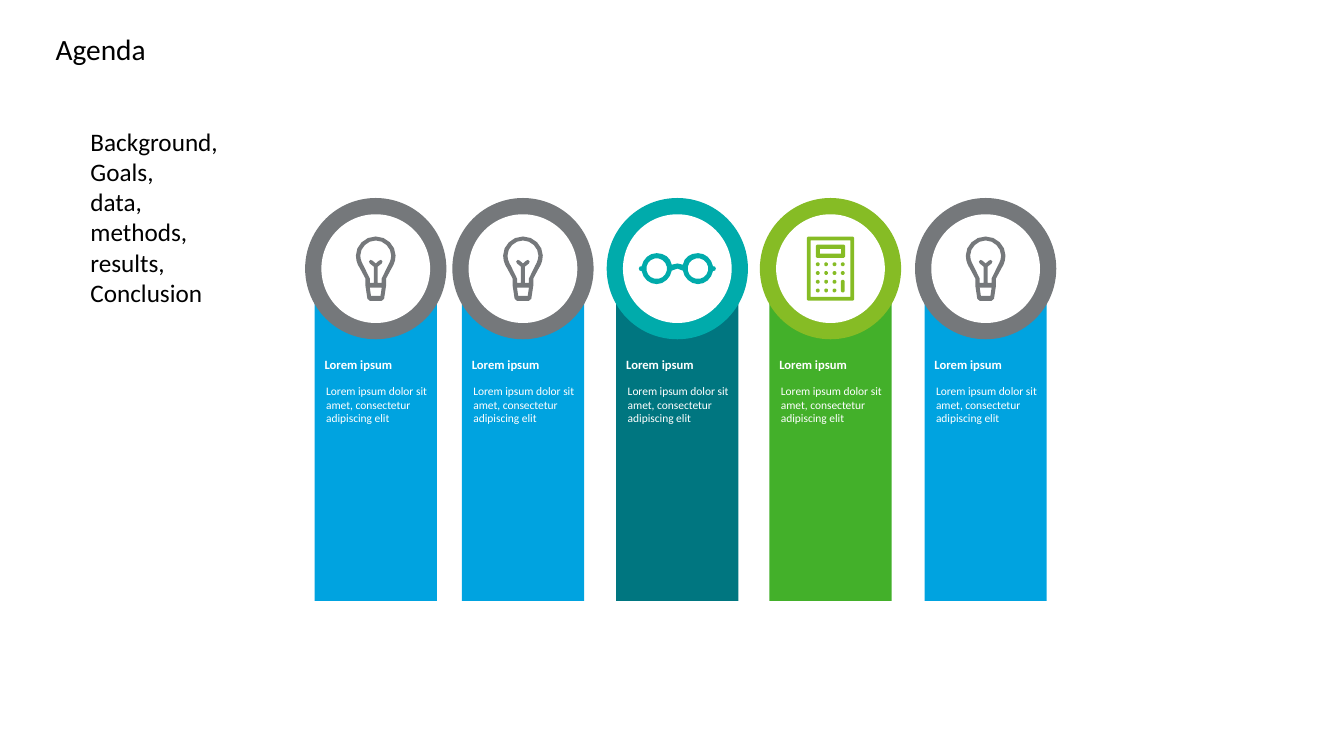
from math import copysign, cos, pi, sin

from pptx import Presentation
from pptx.dml.color import RGBColor
from pptx.enum.shapes import MSO_SHAPE as Preset
from pptx.enum.text import MSO_ANCHOR as Anchor, MSO_AUTO_SIZE as AutoSize, PP_ALIGN as Align
from pptx.util import Cm, Pt

TITLE_ONLY = 5
CURVE_STEPS = 4
BLACK, WHITE = "000000", "FFFFFF"
GREY, BLUE = "75787B", "00A3E0"
TEAL, DARK_TEAL = "00ABAB", "007680"
LIME, GREEN = "86BC25", "43B02A"
RING_MIDDLE = 6.77
HEADING = "Lorem ipsum"
BODY = "Lorem ipsum dolor sit amet, consectetur adipiscing elit"
TOPICS = ["Background,", "Goals,", "data,", "methods,", "results,", "Conclusion"]


def color(hex_string):
    """Turn a hex string into a colour."""
    return RGBColor.from_string(hex_string)


def paint(shape, fill):
    """Give a shape a flat fill without line or shadow."""
    shape.fill.solid()
    shape.fill.fore_color.rgb = color(fill)
    shape.line.fill.background()
    shape.shadow.inherit = False


def format_runs(frame, size, ink, bold=False):
    """Format every run of a text frame."""
    for paragraph in frame.paragraphs:
        for run in paragraph.runs:
            run.font.name = "Calibri"
            run.font.size = Pt(size)
            run.font.bold = bold
            run.font.color.rgb = color(ink)


def add_block(slide, preset, left, top, width, height, fill):
    """Add a flat preset shape."""
    block = slide.shapes.add_shape(preset, Cm(left), Cm(top), Cm(width), Cm(height))
    paint(block, fill)


def add_text(slide, text, left, top, width, height, size, ink, bold=False, wrap=True):
    """Add a text box that grows with its text."""
    frame = slide.shapes.add_textbox(Cm(left), Cm(top), Cm(width), Cm(height)).text_frame
    frame.text = text
    frame.word_wrap = wrap
    frame.auto_size = AutoSize.SHAPE_TO_FIT_TEXT
    format_runs(frame, size, ink, bold)


def trace(start, *steps):
    """Follow lines (x, y) and Bézier curves (six numbers) as a list of points."""
    points = [start]
    for step in steps:
        if len(step) == 2:
            points.append(step)
            continue
        x0, y0 = points[-1]
        x1, y1, x2, y2, x3, y3 = step
        for t in (i / CURVE_STEPS for i in range(1, CURVE_STEPS + 1)):
            a, b, c, d = (1 - t) ** 3, 3 * t * (1 - t) ** 2, 3 * t * t * (1 - t), t ** 3
            points.append((a * x0 + b * x1 + c * x2 + d * x3,
                           a * y0 + b * y1 + c * y2 + d * y3))
    return points


def mirrored(half):
    """Complete the right half of an outline with its left half."""
    return half + [(-x, y) for x, y in reversed(half) if x]


def rounded(x, y, half_width, half_height, radius=0, corners=4):
    """Return a rectangle around a centre, rounded when it has more corner points."""
    angles = [(2 * i + 1) * pi / corners for i in range(corners)]
    return [(x + copysign(half_width - radius, cos(a)) + radius * cos(a),
             y + copysign(half_height - radius, sin(a)) + radius * sin(a)) for a in angles]


def bulb():
    """Return the contours of a light bulb."""
    glass = trace((0, -0.81), (0.28, -0.81, 0.5, -0.58, 0.5, -0.33),
                  (0.5, -0.15, 0.41, -0.03, 0.41, -0.03),
                  (0.26, 0.25), (0.26, 0.43), (0.21, 0.76), (0.15, 0.81))
    filament = trace((0, -0.71), (0.21, -0.71, 0.39, -0.53, 0.39, -0.33),
                     (0.39, -0.2, 0.31, -0.08, 0.31, -0.08),
                     (0.15, 0.25), (0.15, 0.36), (0.05, 0.36), (0.05, -0.05),
                     (0.15, -0.13), (0.17, -0.18), (0.13, -0.22), (0.08, -0.2), (0, -0.13))
    socket = [(0.15, 0.48), (0.12, 0.69)]
    return [mirrored(half) for half in (glass, filament, socket)]


def glasses():
    """Return the contours of a pair of glasses."""
    frame = trace((0, -0.13), (0.14, -0.1),
                  (0.17, -0.28, 0.33, -0.39, 0.52, -0.39),
                  (0.71, -0.39, 0.86, -0.25, 0.9, -0.06),
                  (0.95, -0.05), (0.97, 0), (0.95, 0.05), (0.9, 0.06),
                  (0.86, 0.25, 0.71, 0.39, 0.52, 0.39),
                  (0.33, 0.39, 0.17, 0.23, 0.14, 0.05), (0, 0))
    lenses = [rounded(x, 0, 0.26, 0.26, 0.26, 16) for x in (-0.52, 0.52)]
    return [mirrored(frame)] + lenses


def calculator():
    """Return the contours of a calculator."""
    case = [rounded(0, 0, 0.6, 0.81, 0.05, 8), rounded(0, 0, 0.5, 0.71)]
    display = [rounded(0, -0.44, 0.37, 0.17, 0.05, 8), rounded(0, -0.44, 0.27, 0.06)]
    keys = [rounded(-0.32 + 0.21 * column, -0.11 + 0.22 * row, 0.05, 0.05, 0.05, 8)
            for row in range(4) for column in range(4) if row < 2 or column < 3]
    enter_key = rounded(0.31, 0.44, 0.05, 0.16, 0.05, 8)
    return case + display + keys + [enter_key]


def add_icon(slide, contours, middle, fill):
    """Draw an icon's contours around the middle of its ring."""
    first, *others = [[(Cm(middle + x), Cm(RING_MIDDLE + y)) for x, y in contour]
                      for contour in contours]
    outline = slide.shapes.build_freeform(*first[0])
    outline.add_line_segments(first[1:], close=True)
    for contour in others:
        outline.move_to(*contour[0])
        outline.add_line_segments(contour[1:], close=True)
    paint(outline.convert_to_shape(), fill)


def add_column(slide, middle, bar_fill, accent, contours):
    """Add one agenda column with its bar, ring, icon and texts."""
    left = middle - 1.54
    add_block(slide, Preset.RECTANGLE, left, 6.88, 3.08, 8.26, bar_fill)
    add_text(slide, HEADING, left, 8.86, 2.26, 0.64, 9, WHITE, bold=True, wrap=False)
    for radius, fill in ((1.78, accent), (1.37, WHITE)):
        add_block(slide, Preset.OVAL, middle - radius, RING_MIDDLE - radius,
                  2 * radius, 2 * radius, fill)
    add_icon(slide, contours, middle, accent)
    add_text(slide, BODY, left + 0.04, 9.55, 3.08, 1.32, 8.2, WHITE)


def set_title(slide, text):
    """Place and format the slide title."""
    title = slide.shapes.title
    title.left, title.top, title.width, title.height = Cm(1.4), Cm(0.89), Cm(31.09), Cm(0.94)
    frame = title.text_frame
    frame.text = text
    frame.margin_left = frame.margin_right = frame.margin_top = frame.margin_bottom = 0
    frame.vertical_anchor = Anchor.TOP
    frame.auto_size = AutoSize.NONE
    frame.paragraphs[0].alignment = Align.LEFT
    frame.paragraphs[0].line_spacing = 0.9
    format_runs(frame, 21, BLACK)


def main():
    """Build the agenda slide."""
    deck = Presentation()
    deck.slide_width, deck.slide_height = Cm(33.87), Cm(19.05)
    slide = deck.slides.add_slide(deck.slide_layouts[TITLE_ONLY])
    set_title(slide, "Agenda")
    add_text(slide, "\n".join(TOPICS), 2.03, 3.05, 4.67, 6.4, 18, BLACK)
    columns = [
        (9.47, BLUE, GREY, bulb()),
        (13.18, BLUE, GREY, bulb()),
        (17.07, DARK_TEAL, TEAL, glasses()),
        (20.93, GREEN, LIME, calculator()),
        (24.84, BLUE, GREY, bulb()),
    ]
    for column in columns:
        add_column(slide, *column)
    deck.save("out.pptx")


if __name__ == "__main__":
    main()
